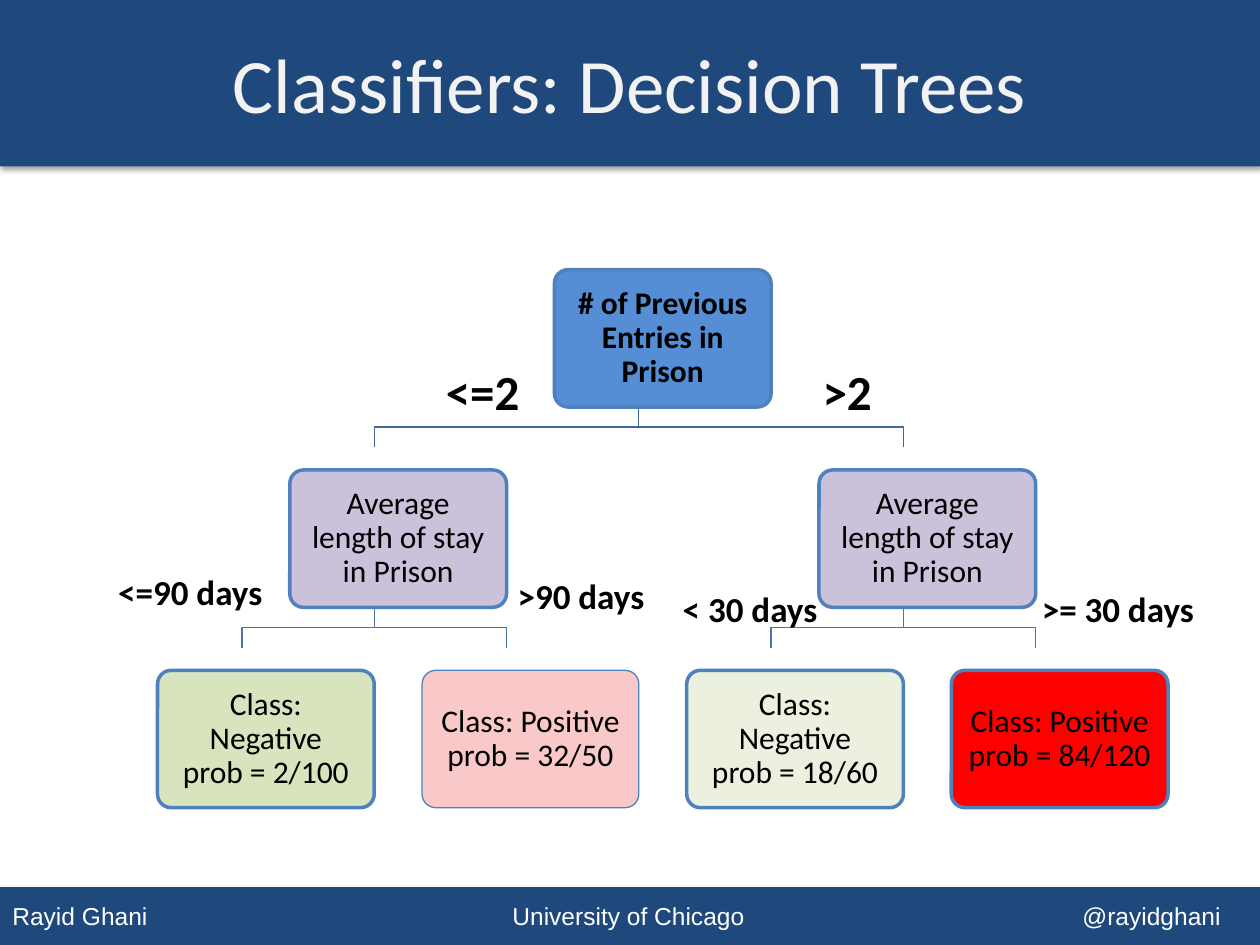
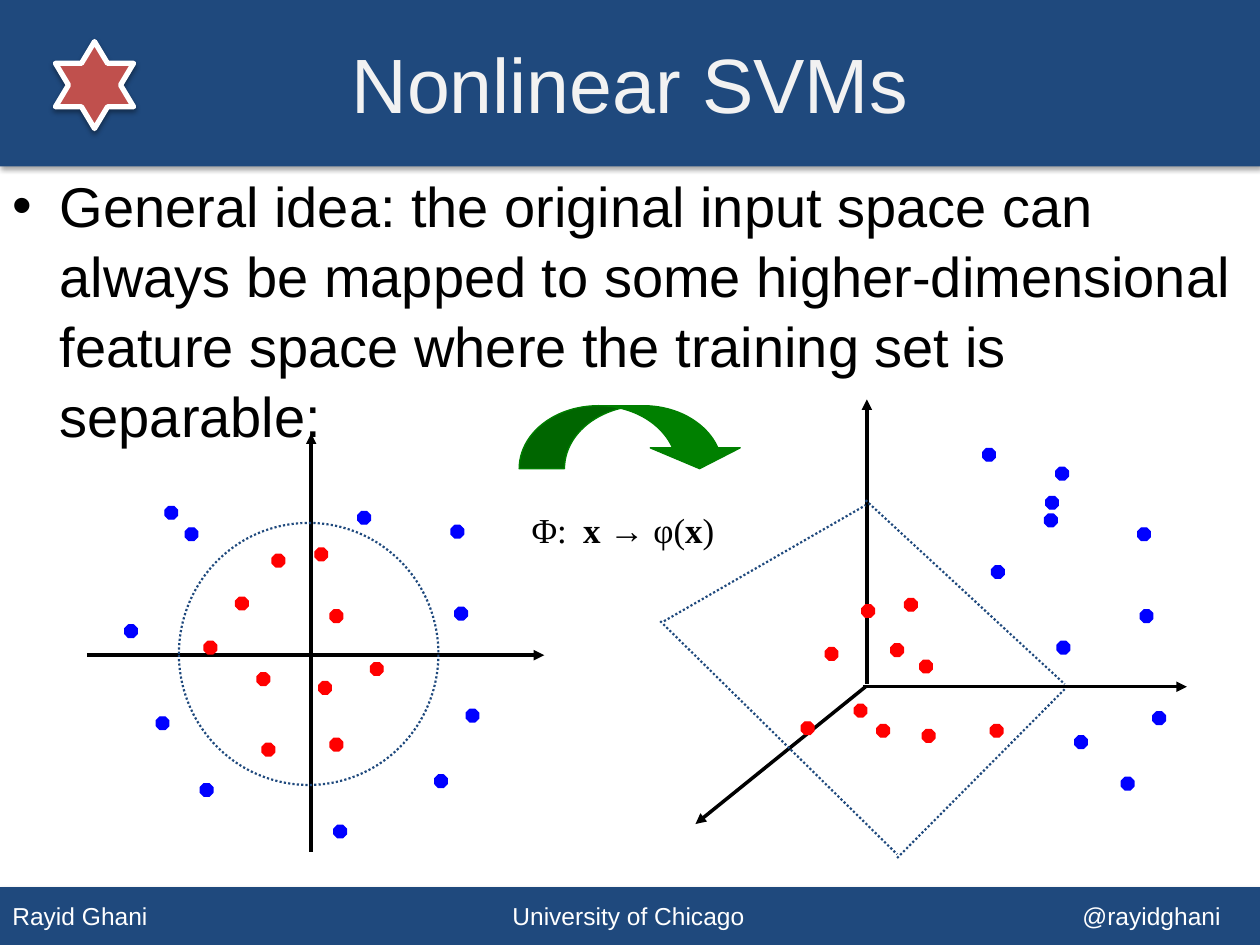
from collections import namedtuple

from lxml import etree
from pptx import Presentation
from pptx.dml.color import RGBColor
from pptx.enum.dml import MSO_LINE
from pptx.enum.shapes import MSO_CONNECTOR, MSO_SHAPE
from pptx.enum.text import MSO_ANCHOR, PP_ALIGN
from pptx.oxml.ns import qn
from pptx.util import Inches, Pt

COLS, ROWS = 100, 75  # the slide grid
CELL = Inches(0.1)
C = {
    "navy": "1F497D", "white": "FFFFFF", "title": "F2F2F2", "black": "000000",
    "edge": "4F81BD", "root_link": "3F6797", "link": "4875AC",
    "root": "558ED5", "split": "CCC1DA", "negative": "D7E4BD",
    "weak_negative": "EBF1DE", "weak_positive": "E60002", "positive": "FF0000",
    "red": "FF0000", "blue": "0000FF", "green": "008000", "star": "C0504D",
}
Box = namedtuple("Box", "x y w h")


def rgb(name):
    return RGBColor.from_string(C[name])


def cells(*values):
    return [round(v * CELL) for v in values]


def inside(box, x, y, w=0, h=0):
    """Box at (x, y) from the corner of another box."""
    return Box(box.x + x, box.y + y, w, h)


def add_sub(parent, tag, **attrs):
    return etree.SubElement(parent, qn(tag), {k: str(v) for k, v in attrs.items()})


def drop_shadow(sp, alpha):
    sp.shadow.inherit = False
    effects = sp._element.spPr.find(qn("a:effectLst"))
    outer = add_sub(effects, "a:outerShdw", blurRad=Pt(3.1), dist=Pt(1.8),
                    dir=5400000, algn="t", rotWithShape=0)
    color = add_sub(outer, "a:srgbClr", val=C["black"])
    add_sub(color, "a:alpha", val=alpha * 1000)


def add_shape(s, kind, box, fill=None, line=None, width=0.75):
    sp = s.shapes.add_shape(kind, *cells(*box))
    sp.shadow.inherit = False
    if fill:
        sp.fill.solid()
        sp.fill.fore_color.rgb = rgb(fill)
    else:
        sp.fill.background()
    if line:
        sp.line.color.rgb = rgb(line)
        sp.line.width = Pt(width)
    else:
        sp.line.fill.background()
    return sp


def format_text(tf, size, font, color="black", bold=False, align=PP_ALIGN.LEFT):
    for p in tf.paragraphs:
        p.alignment = align
        for r in p.runs:
            r.font.size, r.font.name, r.font.bold = Pt(size), font, bold
            r.font.color.rgb = rgb(color)


def add_text(s, box, text, size, font, wrap=True, **style):
    tf = s.shapes.add_textbox(*cells(*box)).text_frame
    tf.word_wrap = wrap
    tf.text = text
    format_text(tf, size, font, **style)
    return tf


def set_tabs(p, *stops):
    tabs = add_sub(p._p.get_or_add_pPr(), "a:tabLst")
    for col, align in stops:
        add_sub(tabs, "a:tab", pos=cells(col)[0], algn=align)


def add_line(s, box, start, end, color="black", width=2, arrow=True):
    """Arrow, or a dotted line, between two points of a box."""
    ends = [*inside(box, *start)[:2], *inside(box, *end)[:2]]
    cx = s.shapes.add_connector(MSO_CONNECTOR.STRAIGHT, *cells(*ends))
    cx.line.color.rgb = rgb(color)
    cx.line.width = Pt(width)
    if arrow:
        add_sub(cx.line._get_or_add_ln(), "a:tailEnd", type="triangle")
    else:
        cx.line.dash_style = MSO_LINE.ROUND_DOT
    add_sub(cx._element.spPr, "a:effectLst")


def add_frame(prs, title, font):
    """New slide with the title band and the footer band."""
    s = prs.slides.add_slide(prs.slide_layouts[6])
    footer = add_shape(s, MSO_SHAPE.RECTANGLE, Box(0, 70.4, COLS, 4.6), "navy")
    band = add_shape(s, MSO_SHAPE.RECTANGLE, Box(0, 0, COLS, 13.2), "navy")
    for sp in (footer, band):
        drop_shadow(sp, 35)
    tf = footer.text_frame
    tf.vertical_anchor = MSO_ANCHOR.MIDDLE
    tf.text = "Rayid Ghani\tUniversity of Chicago\t@rayidghani"
    set_tabs(tf.paragraphs[0], (48.9, "ctr"), (95.9, "r"))
    format_text(tf, 14, "Arial", "white")
    tf = add_text(s, Box(0, 0.3, COLS, 12.5), title, 44, font,
                  color="title", align=PP_ALIGN.CENTER)
    tf.vertical_anchor = MSO_ANCHOR.MIDDLE
    return s


NODE_W, NODE_H = 17.2, 10.9
NODES = [  # row, column, text, fill
    (0, 1.5, "# of Previous Entries in Prison", "root"),
    (1, 0.5, "Average length of stay in Prison", "split"),
    (1, 2.5, "Average length of stay in Prison", "split"),
    (2, 0, "Class: Negative\vprob = 2/100", "negative"),
    (2, 1, "Class: Positive\vprob = 32/50", "weak_positive"),
    (2, 2, "Class: Negative\vprob = 18/60", "weak_negative"),
    (2, 3, "Class: Positive\vprob = 84/120", "positive"),
]
LINKS = [(0, 1.5, 0.5), (0, 1.5, 2.5), (1, 0.5, 0), (1, 0.5, 1),
         (1, 2.5, 2), (1, 2.5, 3)]  # parent row, parent column, child column
BRANCHES = [  # x, y, width, text, size
    (56.3, 8.2, 6, ">2", 28), (26.4, 8.2, 7.9, "<=2", 28),
    (0.4, 24.8, 13.6, "<=90 days", 20), (32.1, 25.1, 12.2, ">90 days", 20),
    (45.2, 26.1, 12.8, "< 30 days", 20), (73.7, 26.1, 14.2, ">= 30 days", 20),
]


def node_box(box, row, col):
    return inside(box, 4.5 + 21 * col, 1.4 + 15.9 * row, NODE_W, NODE_H)


def add_link(s, box, row, parent, child):
    """Elbow from a parent node to just above its child."""
    top = node_box(box, row, parent)
    x0 = top.x + NODE_W / 2 - 1.9
    x1 = x0 + 21 * (child - parent)
    y = top.y + NODE_H - 1.8
    points = [cells(*pt) for pt in
              [(x0, y), (x0, y + 3.4), (x1, y + 3.4), (x1, y + 5)]]
    builder = s.shapes.build_freeform(*points[0])
    builder.add_line_segments(points[1:], close=False)
    sp = builder.convert_to_shape()
    sp.shadow.inherit = False
    sp.fill.background()
    sp.line.color.rgb = rgb("link" if row else "root_link")
    sp.line.width = Pt(0.75)


def add_node(s, box, text, fill, bold):
    weak = fill == "weak_positive"
    sp = add_shape(s, MSO_SHAPE.ROUNDED_RECTANGLE, box, fill, "edge",
                   0.75 if weak else 2)
    sp.adjustments[0] = 0.1
    if weak:
        color = sp._element.spPr.find(qn("a:solidFill")).find(qn("a:srgbClr"))
        add_sub(color, "a:alpha", val=21000)
    tf = sp.text_frame
    tf.margin_left = tf.margin_right = tf.margin_top = tf.margin_bottom = cells(0.75)[0]
    tf.vertical_anchor = MSO_ANCHOR.MIDDLE
    tf.word_wrap = True
    tf.text = text
    tf.paragraphs[0].line_spacing = 0.9
    format_text(tf, 18, "Calibri", bold=bold, align=PP_ALIGN.CENTER)


def add_tree(s, box):
    for link in LINKS:
        add_link(s, box, *link)
    for row, col, text, fill in NODES:
        add_node(s, node_box(box, row, col), text, fill, bold=row == 0)
    for x, y, w, text, size in BRANCHES:
        add_text(s, inside(box, x, y, w, size / 5), text, size, "Calibri",
                 wrap=False, bold=True)


INPUT_DOTS = {
    "red": [(20, 12.5), (13.7, 16.4), (15.4, 22.4), (21.2, 27.6), (16.6, 13),
            (11.2, 19.9), (15.8, 28), (21.2, 17.4), (24.4, 21.6), (20.3, 23.1)],
    "blue": [(31.1, 17.2), (29.5, 30.5), (4.9, 18.6), (21.5, 34.5), (32, 25.3),
             (10.9, 31.2), (7.4, 25.9), (8.1, 9.2), (23.4, 9.6), (9.7, 10.9),
             (30.8, 10.7)],
}
FEATURE_DOTS = {
    "red": [(21.8, 16.5), (15.5, 20.4), (19.6, 26.5), (28.6, 26.5), (18.4, 17),
            (20.7, 20.1), (23.2, 26.9), (23, 21.4), (17.8, 24.9), (13.6, 26.3)],
    "blue": [(40.5, 17.4), (39, 30.7), (33.8, 6.1), (33.9, 19.9), (41.5, 25.5),
             (28.7, 13.9), (35.3, 27.4), (33, 8.4), (32.9, 9.8), (28, 4.6),
             (40.3, 10.9)],
}
INPUT_AXES = [((19.7, 36.6), (19.7, 3.4)), ((1.9, 21), (38.2, 21))]
FEATURE_AXES = [((18.8, 23.3), (18.8, 0.7)), ((18.5, 23.5), (44.2, 23.5)),
                ((18.7, 23.5), (5.2, 34.4))]
PLANE = [((18.7, 8.7), (34.5, 23.3)), ((21.2, 37.1), (34.5, 23.7)),
         ((2.7, 18.3), (18.7, 9.1)), ((2.4, 18.3), (21.2, 36.8))]


def add_plot(s, box, axes, dots):
    for start, end in axes:
        add_line(s, box, start, end)
    for color, places in dots.items():
        for x, y in places:
            add_shape(s, MSO_SHAPE.OCTAGON, inside(box, x, y, 1, 1), color, color)


def add_input_space(s, box):
    add_plot(s, box, INPUT_AXES, INPUT_DOTS)
    circle = add_shape(s, MSO_SHAPE.OVAL, inside(box, 9.2, 10.5, 20.6, 20.8),
                       line="navy", width=1.25)
    circle.line.dash_style = MSO_LINE.ROUND_DOT


def add_feature_space(s, box):
    add_plot(s, box, FEATURE_AXES, FEATURE_DOTS)
    for start, end in PLANE:
        add_line(s, box, start, end, "navy", 1.25, arrow=False)


def add_mapping(s, box):
    """Curved arrow with the mapping formula below."""
    arrow = add_shape(s, MSO_SHAPE.CURVED_DOWN_ARROW, inside(box, 0, 0, 17.9, 5),
                      "green", "green")
    for i, value in enumerate((0.72, 1.43, 0.33)):
        arrow.adjustments[i] = value
    tf = add_text(s, inside(box, 0, 7.7, 20.8, 4.3), "", 20, "Times New Roman")
    p = tf.paragraphs[0]
    set_tabs(p, (4.1, "l"))
    for text in ("Φ:\t", "x → ", "φ(", "x", ")"):
        p.add_run().text = text
    format_text(tf, 20, "Times New Roman")
    for r in p.runs:
        r.font.bold = r.text.startswith("x")


def add_idea(s, box, text):
    tf = add_text(s, box, text, 32, "Arial")
    p = tf.paragraphs[0]
    pPr = p._p.get_or_add_pPr()
    indent = cells(3.75)[0]
    pPr.set("marL", str(indent))
    pPr.set("indent", str(-indent))
    add_sub(pPr, "a:buFont", typeface="Arial")
    add_sub(pPr, "a:buChar", char="•")
    p.line_spacing = 1.04


def main():
    prs = Presentation()
    prs.slide_width, prs.slide_height = cells(COLS, ROWS)

    s = add_frame(prs, "Classifiers: Decision Trees", "Calibri")
    add_tree(s, Box(8, 20, 88, 45))

    s = add_frame(prs, "Nonlinear SVMs", "Arial")
    add_input_space(s, Box(5, 31, 40, 38))
    add_feature_space(s, Box(50, 31, 45, 38))
    add_mapping(s, Box(41.2, 32.2, 20.8, 12))
    add_idea(s, Box(0, 12.9, COLS, 57.3),
             "General idea: the original input space can always be mapped to some "
             "higher-dimensional feature space where the training set is separable:")
    star = add_shape(s, MSO_SHAPE.STAR_6_POINT, Box(4.4, 3.3, 6.2, 6.9),
                     "star", "white", 3)
    drop_shadow(star, 38)

    prs.save("out.pptx")


if __name__ == "__main__":
    main()
